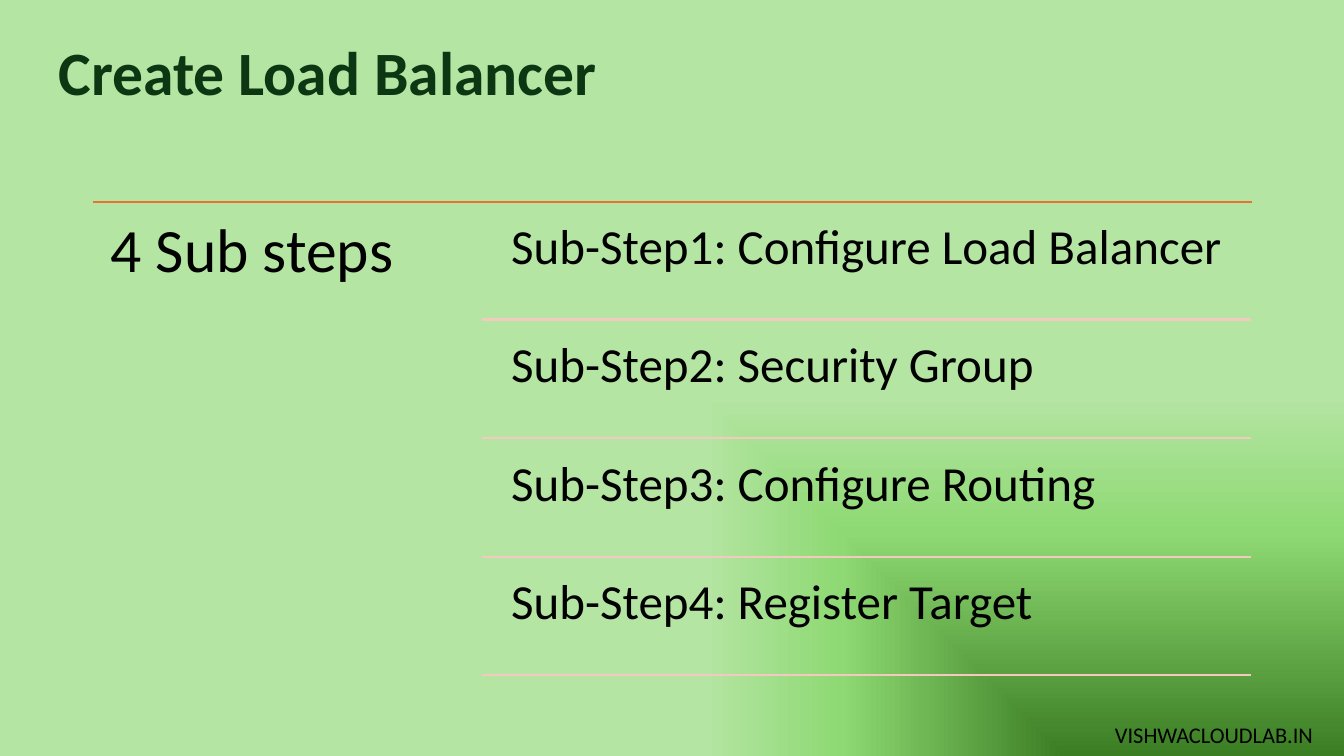
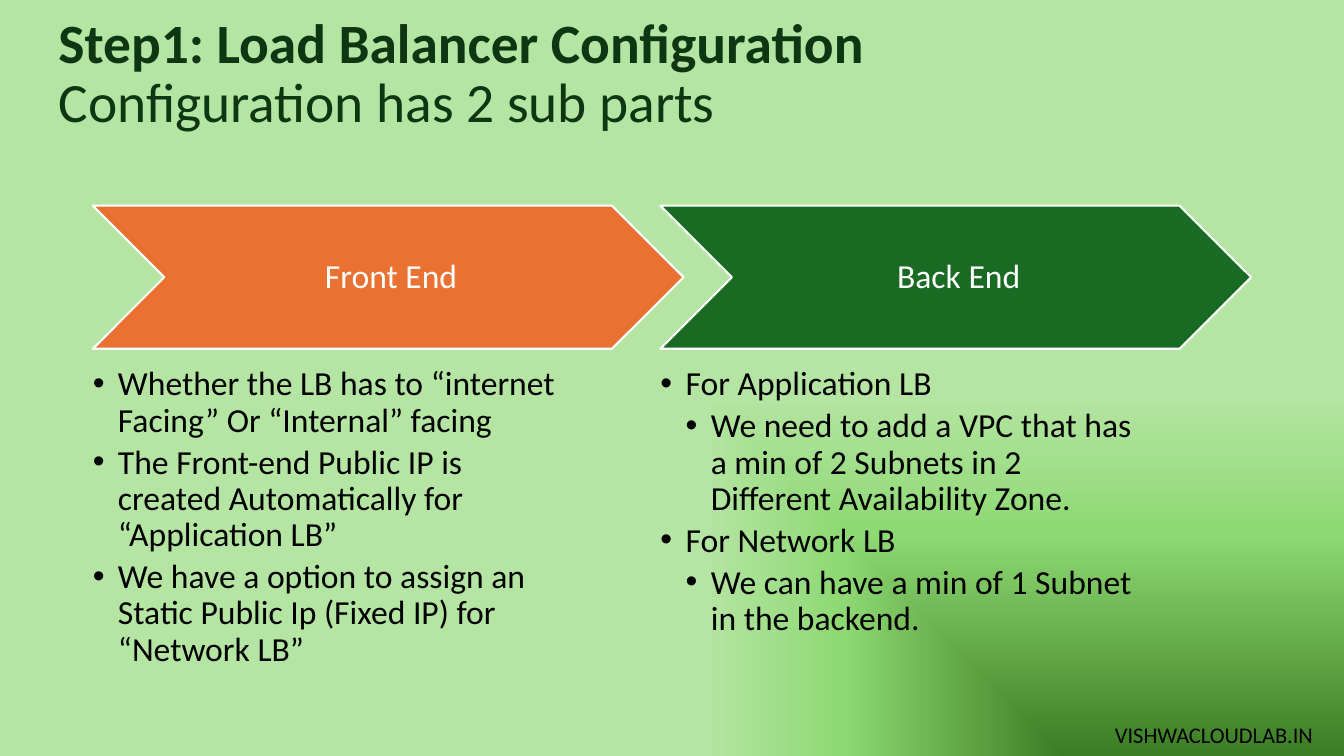
from pptx import Presentation
from pptx.dml.color import RGBColor
from pptx.enum.shapes import MSO_CONNECTOR as Conn, MSO_SHAPE as Shape
from pptx.enum.text import MSO_ANCHOR as Anchor, MSO_AUTO_SIZE as Auto, PP_ALIGN as Align
from pptx.oxml import parse_xml
from pptx.oxml.ns import nsdecls, qn
from pptx.util import Inches, Pt
from lxml import etree

# Content
FOOTER = "VISHWACLOUDLAB.IN"
STEPS = {
    "title": ["Create Load Balancer"],
    "lead": "4 Sub steps",
    "rows": [
        "Sub-Step1: Configure Load Balancer",
        "Sub-Step2: Security Group",
        "Sub-Step3: Configure Routing",
        "Sub-Step4: Register Target",
    ],
}
PARTS = {
    "title": ["Step1: Load Balancer Configuration", "Configuration has 2 sub parts"],
    "cols": [
        ("Front End", "E97132", [
            (0, "Whether the LB has to “internet Facing” Or “Internal” facing"),
            (0, "The Front-end Public IP is created Automatically for “Application LB”"),
            (0, "We have a option to assign an Static Public Ip (Fixed IP) for “Network LB”"),
        ]),
        ("Back End", "196B24", [
            (0, "For Application LB"),
            (1, "We need to add a VPC that has a min of 2 Subnets in 2 "
                "Different Availability Zone."),
            (0, "For Network LB"),
            (1, "We can have a min of 1 Subnet in the backend."),
        ]),
    ],
}

# Shared style
FONT = "Calibri"
BLACK, WHITE, DARK = "000000", "FFFFFF", "0D3612"
ORANGE, PINK = "E97132", "F4C9BF"
STOPS = [(0, "3B7D23"), (59, "8ED973"), (95, "B4E5A2")]
LEFT = 0.92


def rgb(code):
    return RGBColor.from_string(code)


def style(para, size, color=BLACK, bold=None):
    font = para.font
    font.name, font.size, font.bold = FONT, Pt(size), bold
    font.color.rgb = rgb(color)


def inset(frame, left, top, right, bottom):
    frame.margin_left, frame.margin_top = Inches(left), Inches(top)
    frame.margin_right, frame.margin_bottom = Inches(right), Inches(bottom)


def add_text(slide, box, text, size, pad=None):
    shape = slide.shapes.add_textbox(*map(Inches, box))
    frame = shape.text_frame
    frame.word_wrap = True
    if pad is not None:
        inset(frame, pad, pad, pad, pad)
    para = frame.paragraphs[0]
    para.text = text
    para.line_spacing = 0.9
    style(para, size)
    return shape


def add_rule(slide, x1, x2, y, color):
    line = slide.shapes.add_connector(
        Conn.STRAIGHT, Inches(x1), Inches(y), Inches(x2), Inches(y))
    line.line.color.rgb = rgb(color)
    line.line.width = Pt(1.5)
    etree.SubElement(line._element.spPr, qn("a:effectLst"))


def add_bullets(slide, box, items):
    frame = add_text(slide, box, "", 24, 0).text_frame
    for i, (level, text) in enumerate(items):
        para = frame.add_paragraph() if i else frame.paragraphs[0]
        para.text, para.level = text, level
        para.line_spacing, para.space_after = 0.9, Pt(4)
        props = para._p.get_or_add_pPr()
        props.set("marL", str(Inches(0.25 * (level + 1))))
        props.set("indent", str(Inches(-0.25)))
        for old in props.findall(qn("a:defRPr")):
            props.remove(old)
        etree.SubElement(props, qn("a:buFont"), typeface="Arial")
        etree.SubElement(props, qn("a:buChar"), char="•")
        style(para, 24)


def paint(master):
    """Gradient that darkens toward the bottom right corner."""
    master.background.fill.solid()
    back = next(master.element.iter(qn("p:bgPr")))
    stops = "".join(
        f'<a:gs pos="{pos * 1000}"><a:srgbClr val="{code}"/></a:gs>' for pos, code in STOPS)
    back.replace(back[0], parse_xml(
        f'<a:gradFill {nsdecls("a")} rotWithShape="1"><a:gsLst>{stops}</a:gsLst>'
        '<a:path path="rect"><a:fillToRect l="100000" t="100000"/></a:path>'
        '<a:tileRect r="-100000" b="-100000"/></a:gradFill>'))


def add_footer(slide, layout):
    """Place the footer on the layout, so that every slide shows it."""
    box = add_text(slide, (10.96, 7.11, 2.35, 0.37), FOOTER, 16)
    box.text_frame.paragraphs[0].line_spacing = 1.0
    layout.shapes._spTree.append(box._element)


def add_slide(deck, lines, size):
    slide = deck.slides.add_slide(deck.slide_layouts[5])
    title = slide.shapes.title
    title.left, title.top = Inches(0.48), Inches(0.28)
    title.width, title.height = Inches(11.5), Inches(0.93)
    frame = title.text_frame
    frame.auto_size, frame.vertical_anchor = Auto.NONE, Anchor.MIDDLE
    para = frame.paragraphs[0]
    para.alignment, para.line_spacing = Align.LEFT, 0.9
    style(para, size, DARK)
    for i, line in enumerate(lines):
        if i:
            para.add_line_break()
        run = para.add_run()
        run.text, run.font.bold = line, i == 0
    return slide


def fill_steps(slide):
    add_rule(slide, LEFT, 12.42, 2, ORANGE)
    add_text(slide, (LEFT, 2, 3.86, 4.76), STEPS["lead"], 44, 0.18)
    first, last, tall = 3.17, 6.7, 1.12
    pitch = (last - first) / (len(STEPS["rows"]) - 1)
    for i, text in enumerate(STEPS["rows"]):
        y = first + i * pitch
        add_text(slide, (4.92, y - tall, 7.48, tall), text, 35, 0.15)
        add_rule(slide, 4.78, 12.41, y, PINK)


def fill_parts(slide):
    for i, (head, color, items) in enumerate(PARTS["cols"]):
        x = LEFT + i * 5.63
        arrow = slide.shapes.add_shape(
            Shape.CHEVRON, Inches(x), Inches(2.04), Inches(5.86), Inches(1.42))
        arrow.shadow.inherit = False
        arrow.fill.solid()
        arrow.fill.fore_color.rgb = rgb(color)
        arrow.line.color.rgb = rgb(WHITE)
        arrow.line.width = Pt(1.5)
        frame = arrow.text_frame
        frame.vertical_anchor = Anchor.MIDDLE
        inset(frame, 0.1, 0.04, 0.04, 0.04)
        para = frame.paragraphs[0]
        para.text, para.alignment, para.line_spacing = head, Align.CENTER, 0.9
        style(para, 24, WHITE)
        add_bullets(slide, (x, 3.64, 4.69, 3.07), items)


def main():
    deck = Presentation()
    deck.slide_width, deck.slide_height = Inches(13.33), Inches(7.5)
    paint(deck.slide_master)
    steps = add_slide(deck, STEPS["title"], 44)
    add_footer(steps, deck.slide_layouts[5])
    fill_steps(steps)
    fill_parts(add_slide(deck, PARTS["title"], 39.6))
    deck.save("out.pptx")


if __name__ == "__main__":
    main()
